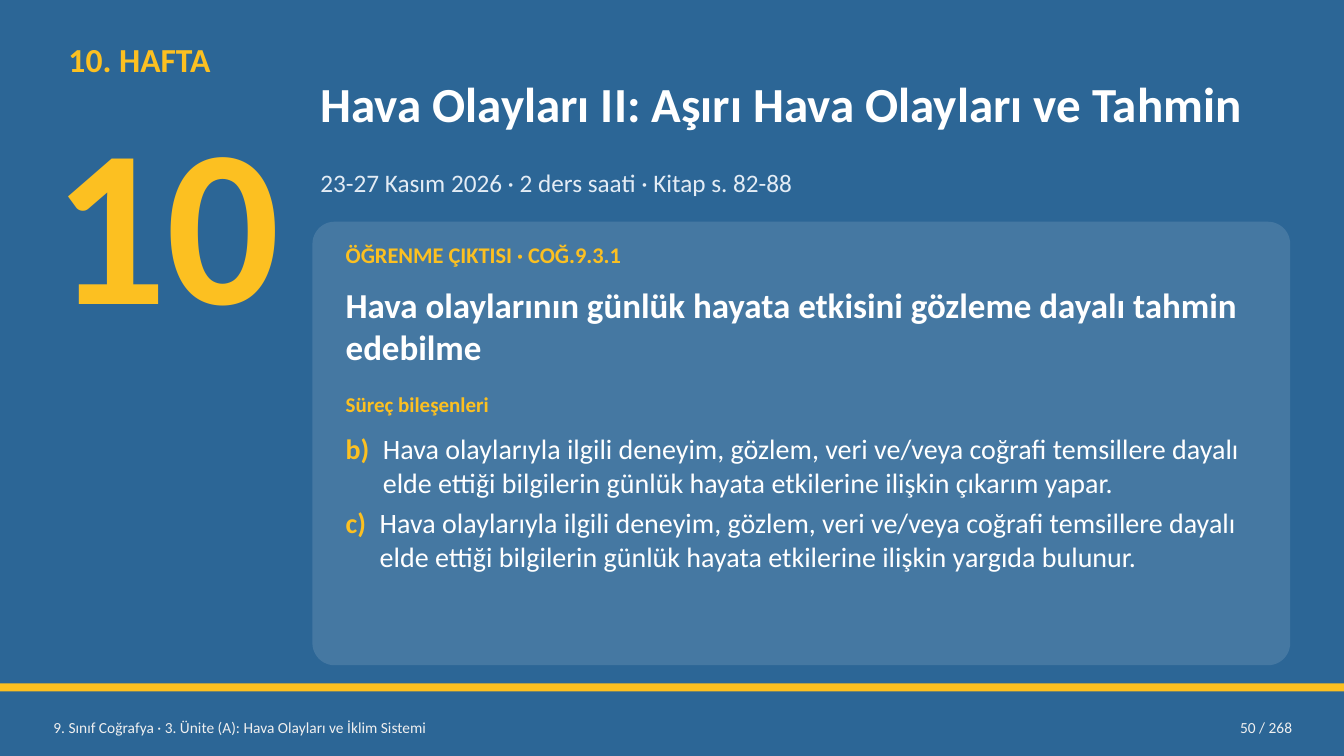
from lxml import etree
from pptx import Presentation
from pptx.dml.color import RGBColor
from pptx.enum import shapes, text
from pptx.oxml import ns
from pptx.util import Pt

BLUE = RGBColor(0x2C, 0x66, 0x96)
GOLD = RGBColor(0xFC, 0xC0, 0x21)
WHITE = RGBColor(0xFF, 0xFF, 0xFF)
PALE = RGBColor(0xE3, 0xEC, 0xF5)
GREY = RGBColor(0xF0, 0xF0, 0xF0)
LEFT, RIGHT = text.PP_ALIGN.LEFT, text.PP_ALIGN.RIGHT
TOP, MIDDLE = text.MSO_ANCHOR.TOP, text.MSO_ANCHOR.MIDDLE
RECT = shapes.MSO_SHAPE.RECTANGLE
ROUND = shapes.MSO_SHAPE.ROUNDED_RECTANGLE


class Page:
    face = "Calibri"

    def __init__(self, deck):
        self.slide = deck.slides.add_slide(deck.slide_layouts[1])
        back = self.slide.background.fill
        back.solid()
        back.fore_color.rgb = BLUE

    def style(self, item, size, color, bold):
        font = item.font
        font.name, font.size, font.bold = self.face, Pt(size), bold
        font.color.rgb = color

    def frame(self, box, anchor, pad=2.88):
        body = box.text_frame
        body.word_wrap = True
        body.auto_size = text.MSO_AUTO_SIZE.NONE
        body.vertical_anchor = anchor
        body.margin_left = body.margin_right = Pt(5.76)
        body.margin_top = body.margin_bottom = Pt(pad)
        return body

    def place(self, hold, area):
        """Move a placeholder to its area, in front of what is drawn so far."""
        hold.left, hold.top, hold.width, hold.height = map(Pt, area)
        hold.element.getparent().append(hold.element)

    def fill(self, body, words, size, color, bold, align=LEFT):
        body.text = words
        para = body.paragraphs[0]
        para.alignment = align
        self.style(para.runs[0], size, color, bold)

    def title(self, area, words, size):
        hold = self.slide.shapes.title
        self.place(hold, area)
        self.fill(self.frame(hold, MIDDLE), words, size, WHITE, True)

    def label(self, area, words, size, color, bold=False,
              anchor=TOP, align=LEFT, pad=2.88):
        box = self.slide.shapes.add_textbox(*map(Pt, area))
        self.fill(self.frame(box, anchor, pad), words, size, color, bold, align)

    def block(self, kind, area, color, alpha=None, bend=None):
        form = self.slide.shapes.add_shape(kind, *map(Pt, area))
        form.shadow.inherit = False
        form.fill.solid()
        form.fill.fore_color.rgb = color
        form.line.fill.background()
        if bend is not None:
            form.adjustments[0] = bend
        if alpha is not None:
            tone = form.element.xpath("p:spPr/a:solidFill/a:srgbClr")[0]
            etree.SubElement(tone, ns.qn("a:alpha")).set("val", str(alpha * 1000))

    def steps(self, area, items, size, gap):
        """Lettered list with a hanging indent per letter."""
        hold = self.slide.placeholders[1]
        self.place(hold, area)
        body = self.frame(hold, TOP)
        for i, (mark, words, hang) in enumerate(items):
            para = body.add_paragraph() if i else body.paragraphs[0]
            props = para._p.get_or_add_pPr()
            props.set("marL", str(Pt(hang)))
            props.set("indent", str(-Pt(hang)))
            etree.SubElement(props, ns.qn("a:buNone"))
            para.alignment = LEFT
            para.space_before, para.space_after = Pt(0), Pt(gap)
            for part, color, bold in ((mark + "\t", GOLD, True),
                                      (words, WHITE, False)):
                run = para.add_run()
                run.text = part
                self.style(run, size, color, bold)


def main():
    deck = Presentation()
    deck.slide_width, deck.slide_height = Pt(960), Pt(540)
    page = Page(deck)

    # Week number
    page.block(RECT, (0, 488.16, 960, 5.76), GOLD)
    page.label((43.2, 25.2, 187.2, 39.6), "10. HAFTA", 24, GOLD, True)
    page.label((32.4, 57.6, 187.2, 198), "10", 160, GOLD, True, pad=0)

    # Heading
    left, wide = 223.2, 698.4
    page.title((left, 32.4, wide, 82.8),
               "Hava Olayları II: Aşırı Hava Olayları ve Tahmin", 35)
    page.label((left, 116.64, wide, 32.4),
               "23-27 Kasım 2026 · 2 ders saati · Kitap s. 82-88", 18, PALE)

    # Learning outcome panel
    page.block(ROUND, (left, 158.4, wide, 316.8), WHITE, alpha=12, bend=0.05)
    left, wide = left + 18, wide - 36
    page.label((left, 169.2, wide, 28.8),
               "ÖĞRENME ÇIKTISI · COĞ.9.3.1", 16, GOLD, True)
    page.label((left, 199.44, wide, 68.4),
               "Hava olaylarının günlük hayata etkisini gözleme dayalı "
               "tahmin edebilme", 25, WHITE, True)
    page.label((left, 276.48, wide, 27.36), "Süreç bileşenleri", 15, GOLD, True)
    stem = ("Hava olaylarıyla ilgili deneyim, gözlem, veri ve/veya coğrafi "
            "temsillere dayalı elde ettiği bilgilerin günlük hayata "
            "etkilerine ilişkin ")
    page.steps((left, 305.28, wide, 160.56),
               [("b)", stem + "çıkarım yapar.", 26.5),
                ("c)", stem + "yargıda bulunur.", 24.3)], 20, 5)

    # Footer
    page.label((32.4, 506.88, 547.2, 25.92),
               "9. Sınıf Coğrafya · 3. Ünite (A): Hava Olayları ve İklim Sistemi",
               11, GREY, anchor=MIDDLE)
    page.label((813.6, 506.88, 115.2, 25.92), "50 / 268", 11, GREY,
               anchor=MIDDLE, align=RIGHT)

    deck.save("out.pptx")


if __name__ == "__main__":
    main()
